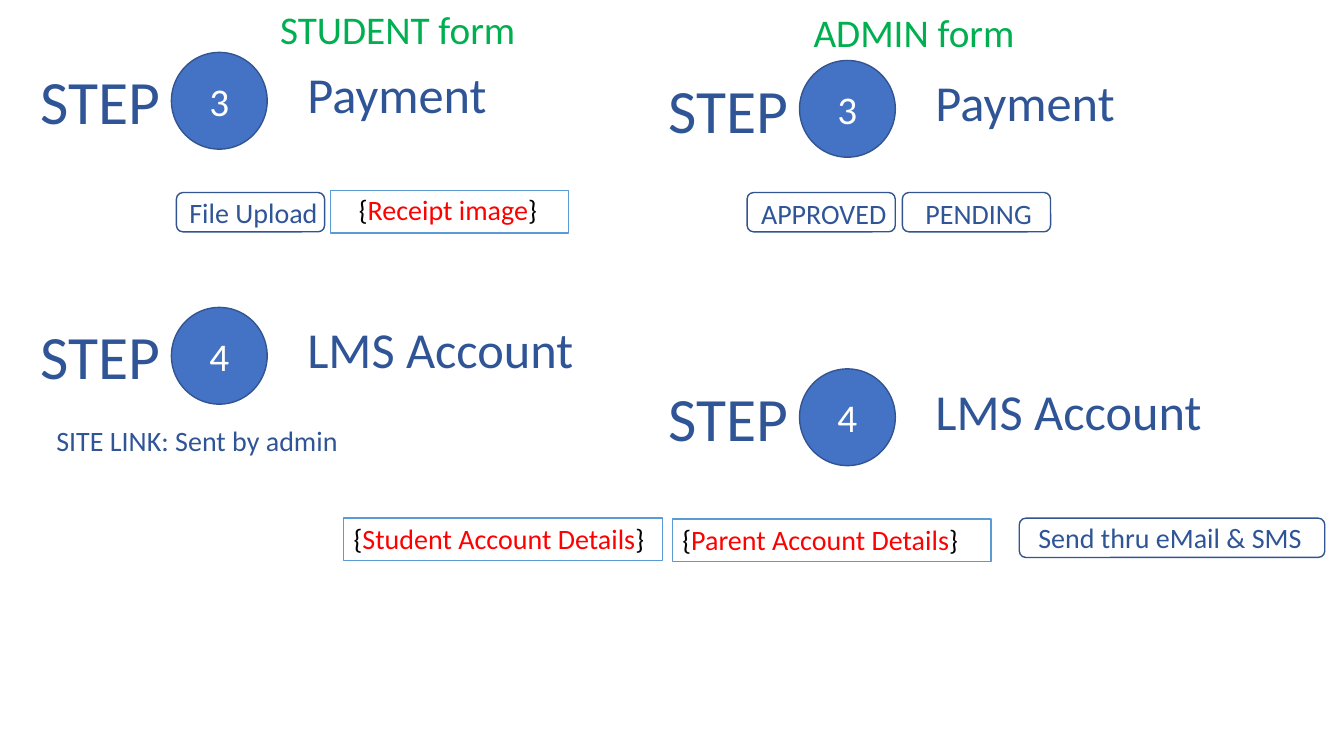
from pptx import Presentation
from pptx.dml.color import RGBColor
from pptx.enum.shapes import MSO_SHAPE
from pptx.enum.text import MSO_ANCHOR, MSO_AUTO_SIZE, PP_ALIGN
from pptx.util import Inches, Pt

NAVY = RGBColor(0x2F, 0x55, 0x97)
EDGE = RGBColor(0x32, 0x54, 0x91)
BLUE = RGBColor(0x44, 0x72, 0xC4)
SKY = RGBColor(0x5B, 0x9B, 0xD5)
GREEN = RGBColor(0x00, 0xB0, 0x50)
RED = RGBColor(0xFF, 0x00, 0x00)
BLACK = RGBColor(0x00, 0x00, 0x00)
WHITE = RGBColor(0xFF, 0xFF, 0xFF)

# Content: text, left, top, width
HEADS = [("STUDENT form", 2.68, 0, 2.56), ("ADMIN form", 7.97, 0.03, 2.22)]

# Number, name, name width, left, top
STEPS = [
    ("3", "Payment", 1.99, 0.3, 0.58),
    ("4", "LMS Account", 2.87, 0.3, 3.11),
    ("3", "Payment", 1.99, 6.53, 0.66),
    ("4", "LMS Account", 2.87, 6.53, 3.72),
]

# Text, box left, top, width, then label left, top, width
BUTTONS = [
    ("File Upload", (1.75, 1.91, 1.47), (1.78, 1.89, 1.49)),
    ("APPROVED", (7.41, 1.91, 1.47), (7.45, 1.9, 1.46)),
    ("PENDING", (8.95, 1.91, 1.47), (9.08, 1.9, 1.26)),
    ("Send thru eMail & SMS", (10.11, 5.14, 3.03), (10.2, 5.11, 2.93)),
]
FIELDS = [
    ("Receipt image", (3.28, 1.89, 2.36), (3.46, 1.86, 1.99)),
    ("Student Account Details", (3.41, 5.14, 3.16), (3.41, 5.12, 3.16)),
    ("Parent Account Details", (6.67, 5.15, 3.16), (6.67, 5.13, 3.16)),
]
NOTE = ("SITE LINK: Sent by admin", 0.46, 4.15, 3.02)

# Box height by text size
HEIGHT = {20: 0.44, 28: 0.57, 36: 0.71, 44: 0.84}

deck = Presentation()
deck.slide_width, deck.slide_height = Inches(13.33), Inches(7.5)
slide = deck.slides.add_slide(deck.slide_layouts[6])


def write(para, text, size, color):
    run = para.add_run()
    run.text = text
    look = {"name": "Calibri", "size": Pt(size)}
    for key, value in look.items():
        setattr(run.font, key, value)
    run.font.color.rgb = color


def label(parts, left, top, width, size):
    box = slide.shapes.add_textbox(
        *map(Inches, (left, top, width, HEIGHT[size])))
    form = {"word_wrap": False, "auto_size": MSO_AUTO_SIZE.SHAPE_TO_FIT_TEXT}
    for key, value in form.items():
        setattr(box.text_frame, key, value)
    for text, color in parts:
        write(box.text_frame.paragraphs[0], text, size, color)


def panel(kind, left, top, width, height, fill, edge):
    shape = slide.shapes.add_shape(
        kind, *map(Inches, (left, top, width, height)))
    shape.shadow.inherit = False
    shape.fill.solid()
    shape.fill.fore_color.rgb = fill
    shape.line.color.rgb = edge
    shape.line.width = Pt(1)
    return shape


# Form headings
for text, *place in HEADS:
    label([(text, GREEN)], *place, 28)

# Steps: word, numbered badge, name
for number, name, width, left, top in STEPS:
    badge = panel(MSO_SHAPE.OVAL, left + 1.4, top - 0.06, 0.95, 0.96,
                  BLUE, EDGE)
    badge.text_frame.vertical_anchor = MSO_ANCHOR.MIDDLE
    para = badge.text_frame.paragraphs[0]
    para.alignment = PP_ALIGN.CENTER
    write(para, number, 28, WHITE)
    label([("STEP", NAVY)], left, top, 1.4, 44)
    label([(name, NAVY)], left + 2.65, top, width, 36)

# Buttons
for text, box, place in BUTTONS:
    panel(MSO_SHAPE.ROUNDED_RECTANGLE, *box, 0.39, WHITE, EDGE)
    label([(text, NAVY)], *place, 20)

# Fields in braces
for text, box, place in FIELDS:
    panel(MSO_SHAPE.RECTANGLE, *box, 0.42, WHITE, SKY)
    wide = place[2] > 3
    label([("{", BLACK), (text, RED), ("}", BLACK)], *place, 20)
    if wide:
        slide.shapes[-1].text_frame.word_wrap = True

# Site link note
text, *place = NOTE
label([(text, NAVY)], *place, 20)

deck.save("out.pptx")
